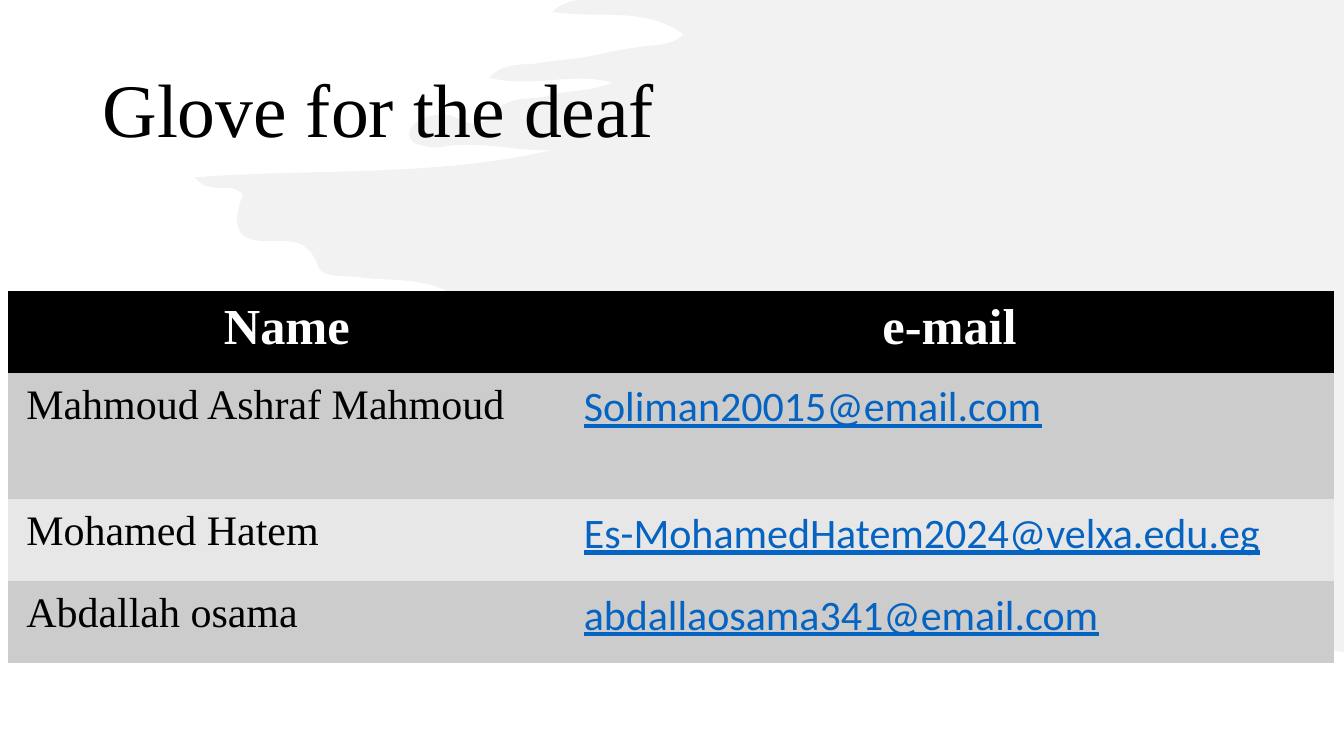
from pptx import Presentation
from pptx import util as u
from pptx.dml.color import RGBColor
from pptx.enum import text
from pptx.oxml.ns import qn
from lxml import etree

COLORS = {
    "black": "000000", "white": "FFFFFF", "link": "0563C1",
    "brush": "E7E6E6", "band_dark": "CCCCCC", "band_light": "E7E7E7",
}
SERIF, SANS = "Times New Roman", "Calibri"
NO_GRID_STYLE = "{2D5ABB26-0587-4C30-8999-92F81FD0307C}"

# Brush stroke: each row is two control points and an end point, in points
BRUSH_START = (414, 0)
BRUSH_CURVES = [
    (408, 0.7, 401, 2.2, 394.6, 8.6),
    (428.4, 13.7, 460.1, 4.3, 488.2, 24.5),
    (478.1, 33.8, 466.6, 31.7, 455, 33.8),
    (443.5, 35.3, 432, 38.2, 420.5, 40.3),
    (408.2, 42.5, 395.3, 43.2, 383, 45.4),
    (373, 46.8, 361.4, 43.9, 349.2, 55.4),
    (379.4, 63.4, 407.5, 51.1, 437.8, 59),
    (420.5, 66.2, 405.4, 64.1, 391.7, 68.4),
    (379.4, 72, 364.3, 67.7, 354.2, 79.9),
    (346.3, 89.3, 337.7, 90.7, 327.6, 85),
    (318.2, 79.9, 308.2, 81.4, 298.8, 86.4),
    (295.9, 88.6, 292.3, 90.7, 292.3, 95),
    (292.3, 101.5, 296.6, 103, 301, 103.7),
    (305.3, 105.1, 310.3, 105.8, 314.6, 105.1),
    (341.3, 100.1, 367.2, 108, 393.8, 107.3),
    (310.3, 126.7, 226.1, 120.2, 139, 126.7),
    (150.5, 140.4, 164.9, 128.9, 173.5, 139),
    (165.6, 159.8, 168.5, 170.6, 185.8, 172.1),
    (201.6, 173.5, 218.9, 166.3, 227.5, 190.8),
    (230.4, 198.7, 245.5, 196.6, 255.6, 198),
    (276.5, 200.9, 298.1, 198, 318.2, 207.4),
    (326.2, 211, 331.2, 213.8, 327.6, 223.9),
    (323.3, 234, 328.3, 237.6, 335.5, 241.9),
    (340.6, 244.8, 347.8, 244.1, 352.1, 253.4),
    (308.2, 252, 265.7, 244.8, 222.5, 252),
    (270, 269.3, 321.8, 268.6, 368.6, 289.4),
    (367.2, 296.6, 356.4, 293, 355.7, 303.8),
    (380.2, 315.4, 409.7, 307.4, 435.6, 324),
    (420.5, 331.9, 406.8, 319.7, 392.4, 326.9),
    (397.4, 337.7, 604.8, 403.9, 642.2, 411.1),
    (704.2, 422.6, 860.4, 450, 949, 464.4),
]
BRUSH_END = [(960, 465.8), (960, 0)]

MEMBERS = [
    ("Mahmoud Ashraf Mahmoud", "Soliman20015@email.com"),
    ("Mohamed Hatem", "Es-MohamedHatem2024@velxa.edu.eg"),
    ("Abdallah osama", "abdallaosama341@email.com"),
]


def rgb(name):
    return RGBColor.from_string(COLORS[name])


def put_text(tf, content, size=30, font=SERIF, color="black", bold=False,
             underline=False, align=text.PP_ALIGN.LEFT, spacing=1.0):
    p = tf.paragraphs[0]
    p.alignment, p.line_spacing = align, spacing
    r = p.add_run()
    r.text = content
    f = r.font
    f.size, f.name, f.bold, f.underline = u.Pt(size), font, bold, underline
    f.color.rgb = rgb(color)


class Deck:
    def __init__(self, width, height):
        self.prs = Presentation()
        self.prs.slide_width, self.prs.slide_height = u.Pt(width), u.Pt(height)
        self.s = self.prs.slides.add_slide(self.prs.slide_layouts[5])

    def title(self, content, x, y, w, h):
        sp = self.s.shapes.title
        sp.left, sp.top, sp.width, sp.height = map(u.Pt, (x, y, w, h))
        tf = sp.text_frame
        tf.auto_size = text.MSO_AUTO_SIZE.NONE
        tf.vertical_anchor = text.MSO_ANCHOR.MIDDLE
        put_text(tf, content, size=54, spacing=0.9)

    def backdrop(self, start, curves, end, color, opacity):
        unit = u.Pt(0.1)
        anchors = [c[4:] for c in curves] + end
        builder = self.s.shapes.build_freeform(start[0] * 10, start[1] * 10, scale=unit)
        builder.add_line_segments([(x * 10, y * 10) for x, y in anchors], close=True)
        sp = builder.convert_to_shape()
        sp.shadow.inherit = False
        sp.fill.solid()
        sp.fill.fore_color.rgb = rgb(color)
        sp.line.fill.background()
        clr = sp.element.spPr.find(qn("a:solidFill"))[0]
        etree.SubElement(clr, qn("a:alpha")).set("val", str(opacity * 1000))
        # Bend the segments: each line becomes a cubic curve
        lines = list(sp.element.iter(qn("a:lnTo")))
        for line, curve in zip(lines, curves):
            bend = etree.Element(qn("a:cubicBezTo"))
            for x, y in zip(curve[::2], curve[1::2]):
                pt = etree.SubElement(bend, qn("a:pt"))
                pt.set("x", str(round((u.Pt(x) - sp.left) / unit)))
                pt.set("y", str(round((u.Pt(y) - sp.top) / unit)))
            line.getparent().replace(line, bend)
        self.s.shapes.title.element.addprevious(sp.element)  # behind the title

    def table(self, x, y, widths, heights):
        frame = self.s.shapes.add_table(len(heights), len(widths), u.Pt(x), u.Pt(y),
                                        u.Pt(sum(widths)), u.Pt(sum(heights)))
        next(frame.element.iter(qn("a:tableStyleId"))).text = NO_GRID_STYLE
        for col, w in zip(frame.table.columns, widths):
            col.width = u.Pt(w)
        for row, h in zip(frame.table.rows, heights):
            row.height = u.Pt(h)
        return frame.table

    def cell(self, cell, content, fill, **fmt):
        cell.fill.solid()
        cell.fill.fore_color.rgb = rgb(fill)
        cell.margin_left = cell.margin_right = u.Pt(13)
        cell.margin_top = cell.margin_bottom = u.Pt(6.5)
        put_text(cell.text_frame, content, **fmt)


def main():
    deck = Deck(960, 540)

    # Title over the brush stroke
    deck.title("Glove for the deaf", 66, 28.75, 828, 104.4)
    deck.backdrop(BRUSH_START, BRUSH_CURVES, BRUSH_END, "brush", 50)

    # Table of members
    tbl = deck.table(5.8, 207.6, (398.2, 548.6), (58.5, 90.5, 58.5, 58.5))
    for c, heading in enumerate(("Name", "e-mail")):
        deck.cell(tbl.cell(0, c), heading, "black", size=36, color="white",
                  bold=True, align=text.PP_ALIGN.CENTER)
    for i, (name, email) in enumerate(MEMBERS, 1):
        band = "band_dark" if i % 2 else "band_light"
        deck.cell(tbl.cell(i, 0), name, band)
        deck.cell(tbl.cell(i, 1), email, band, font=SANS, color="link", underline=True)

    deck.prs.save("out.pptx")


if __name__ == "__main__":
    main()
